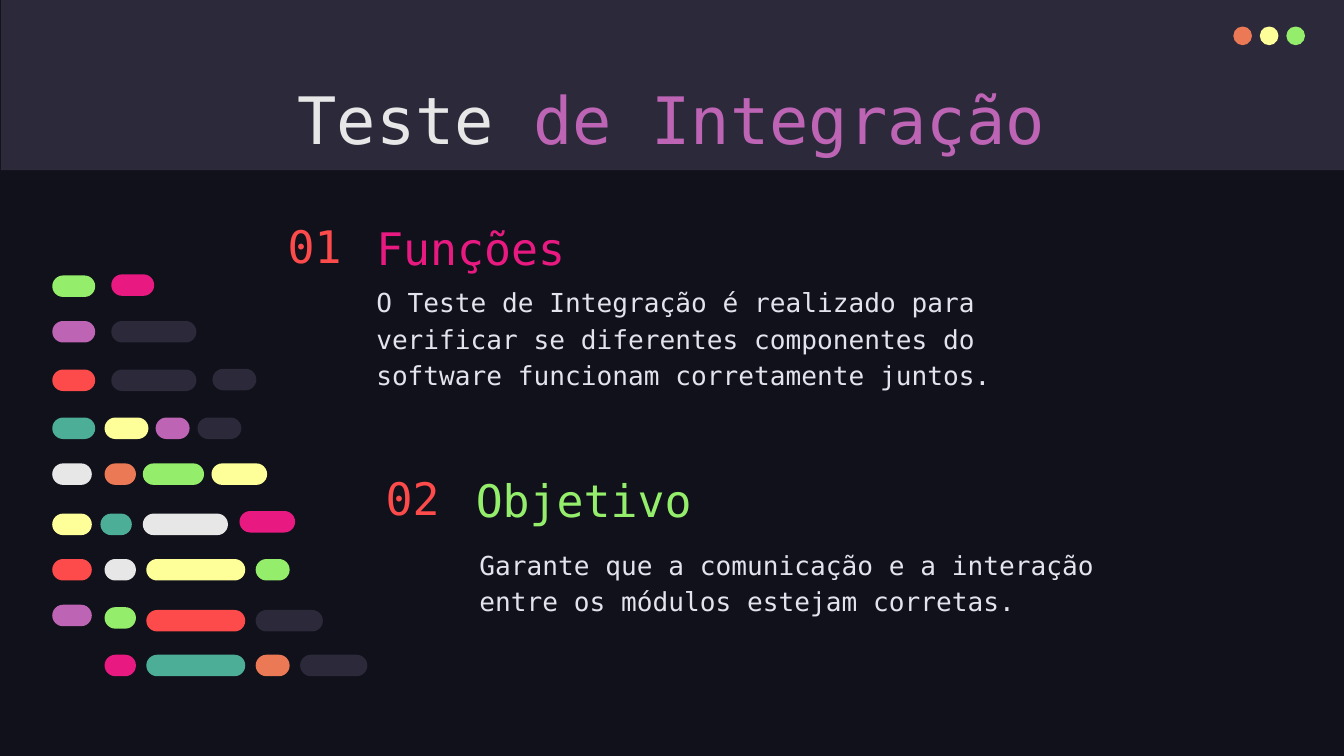
from dataclasses import dataclass
from typing import NamedTuple

from pptx import Presentation
from pptx.dml.color import RGBColor
from pptx.enum.shapes import MSO_SHAPE
from pptx.enum.text import MSO_ANCHOR, PP_ALIGN
from pptx.util import Pt

NIGHT = RGBColor(0x10, 0x11, 0x1A)
SLATE = RGBColor(0x2C, 0x29, 0x3A)
ORANGE = RGBColor(0xEC, 0x79, 0x55)
YELLOW = RGBColor(0xFF, 0xFF, 0x99)
GREEN = RGBColor(0x94, 0xEE, 0x6B)
WHITE = RGBColor(0xE7, 0xE7, 0xE7)
MIST = RGBColor(0xE2, 0xE3, 0xED)
PURPLE = RGBColor(0xBD, 0x64, 0xB5)
RED = RGBColor(0xFD, 0x4A, 0x4A)
PINK = RGBColor(0xE8, 0x1A, 0x81)
TEAL = RGBColor(0x4C, 0xAE, 0x97)

FONT = "DejaVu Sans Mono"
INSET = 7.2
PILL_HEIGHT = 11.5
DOT_SIZE = 10


class Box(NamedTuple):
    left: float
    top: float
    width: float
    height: float


class Pill(NamedTuple):
    left: float
    top: float
    width: float
    color: RGBColor


@dataclass
class Label:
    box: Box
    runs: list[tuple[str, RGBColor]]
    size: float
    anchor: MSO_ANCHOR = MSO_ANCHOR.TOP
    align: PP_ALIGN = PP_ALIGN.LEFT
    spacing: float = 1.0


def section(number: str, heading: str, color: RGBColor, body: str,
            number_box: Box, heading_box: Box, body_box: Box) -> list[Label]:
    return [
        Label(body_box, [(body, MIST)], 14, spacing=1.15),
        Label(number_box, [(number, RED)], 24, MSO_ANCHOR.MIDDLE),
        Label(heading_box, [(heading, color)], 24, MSO_ANCHOR.BOTTOM, spacing=1.15),
    ]


DOTS = [ORANGE, YELLOW, GREEN]

LABELS = [
    Label(Box(56.2, 35.3, 607, 45.4), [("Teste", WHITE), (" de Integração", PURPLE)],
          35, align=PP_ALIGN.CENTER),
    *section("01", "Funções", PINK,
             "O Teste de Integração é realizado para verificar se diferentes "
             "componentes do software funcionam corretamente juntos.",
             Box(147, 116, 47.5, 31), Box(194.5, 116, 399, 38), Box(194.5, 144, 386.6, 45.4)),
    *section("02", "Objetivo", GREEN,
             "Garante que a comunicação e a interação entre os módulos estejam corretas.",
             Box(199.5, 251.3, 47.5, 31), Box(247.8, 251.3, 331, 38), Box(249.8, 284.4, 386.6, 45.4)),
]

PILLS = [
    Pill(28, 147.6, 23, GREEN), Pill(59.6, 147, 23, PINK),
    Pill(28, 172, 23, PURPLE), Pill(59.6, 172, 45.6, SLATE),
    Pill(28, 198, 23, RED), Pill(59.6, 198, 45.6, SLATE), Pill(113.8, 197.6, 23.5, SLATE),
    Pill(28, 223.7, 23, TEAL), Pill(56, 223.7, 23.5, YELLOW),
    Pill(83.4, 223.7, 18.2, PURPLE), Pill(105.8, 223.7, 23.5, SLATE),
    Pill(28, 248.3, 21.2, WHITE), Pill(56, 248.3, 16.8, ORANGE),
    Pill(76.5, 248.3, 32.8, GREEN), Pill(113.3, 248.3, 29.8, YELLOW),
    Pill(28, 275.2, 21.2, YELLOW), Pill(53.8, 275.2, 16.8, TEAL),
    Pill(76.5, 275.2, 45.6, WHITE), Pill(128.3, 273.8, 29.8, PINK),
    Pill(28, 299.5, 21.2, RED), Pill(56, 299.5, 16.8, WHITE),
    Pill(78.4, 299.5, 53, YELLOW), Pill(137, 299.5, 18.2, GREEN),
    Pill(28, 324, 21.2, PURPLE), Pill(56, 325.3, 16.8, GREEN),
    Pill(78.4, 326.8, 53, RED), Pill(137, 326.8, 36, SLATE),
    Pill(56, 350.8, 16.8, PINK), Pill(78.4, 350.8, 53, TEAL),
    Pill(137, 350.8, 18.2, ORANGE), Pill(160.8, 350.8, 36, SLATE),
]


def add_filled(shapes, kind: MSO_SHAPE, box: Box, color: RGBColor):
    s = shapes.add_shape(kind, *map(Pt, box))
    s.shadow.inherit = False
    s.fill.solid()
    s.fill.fore_color.rgb = color
    s.line.fill.background()
    return s


def add_label(shapes, label: Label) -> None:
    tf = shapes.add_textbox(*map(Pt, label.box)).text_frame
    frame_format = {"word_wrap": True, "vertical_anchor": label.anchor}
    frame_format |= {f"margin_{side}": Pt(INSET) for side in ("left", "top", "right", "bottom")}
    for name, value in frame_format.items():
        setattr(tf, name, value)
    p = tf.paragraphs[0]
    for name, value in {"alignment": label.align, "line_spacing": label.spacing}.items():
        setattr(p, name, value)
    for text, color in label.runs:
        r = p.add_run()
        r.text = text
        for name, value in {"name": FONT, "size": Pt(label.size)}.items():
            setattr(r.font, name, value)
        r.font.color.rgb = color


def main() -> None:
    prs = Presentation()
    prs.slide_width, prs.slide_height = Pt(720), Pt(405)
    slide = prs.slides.add_slide(prs.slide_layouts[6])
    slide.background.fill.solid()
    slide.background.fill.fore_color.rgb = NIGHT

    add_filled(slide.shapes, MSO_SHAPE.RECTANGLE, Box(0.5, 0, 719.5, 91.2), SLATE)
    dots = slide.shapes.add_group_shape()
    for i, color in enumerate(DOTS):
        box = Box(660.7 + 14.2 * i, 14.2, DOT_SIZE, DOT_SIZE)
        add_filled(dots.shapes, MSO_SHAPE.OVAL, box, color)

    for label in LABELS:
        add_label(slide.shapes, label)

    code_lines = slide.shapes.add_group_shape()
    for pill in PILLS:
        box = Box(pill.left, pill.top, pill.width, PILL_HEIGHT)
        s = add_filled(code_lines.shapes, MSO_SHAPE.ROUNDED_RECTANGLE, box, pill.color)
        s.adjustments[0] = 0.5

    prs.save("out.pptx")


if __name__ == "__main__":
    main()
